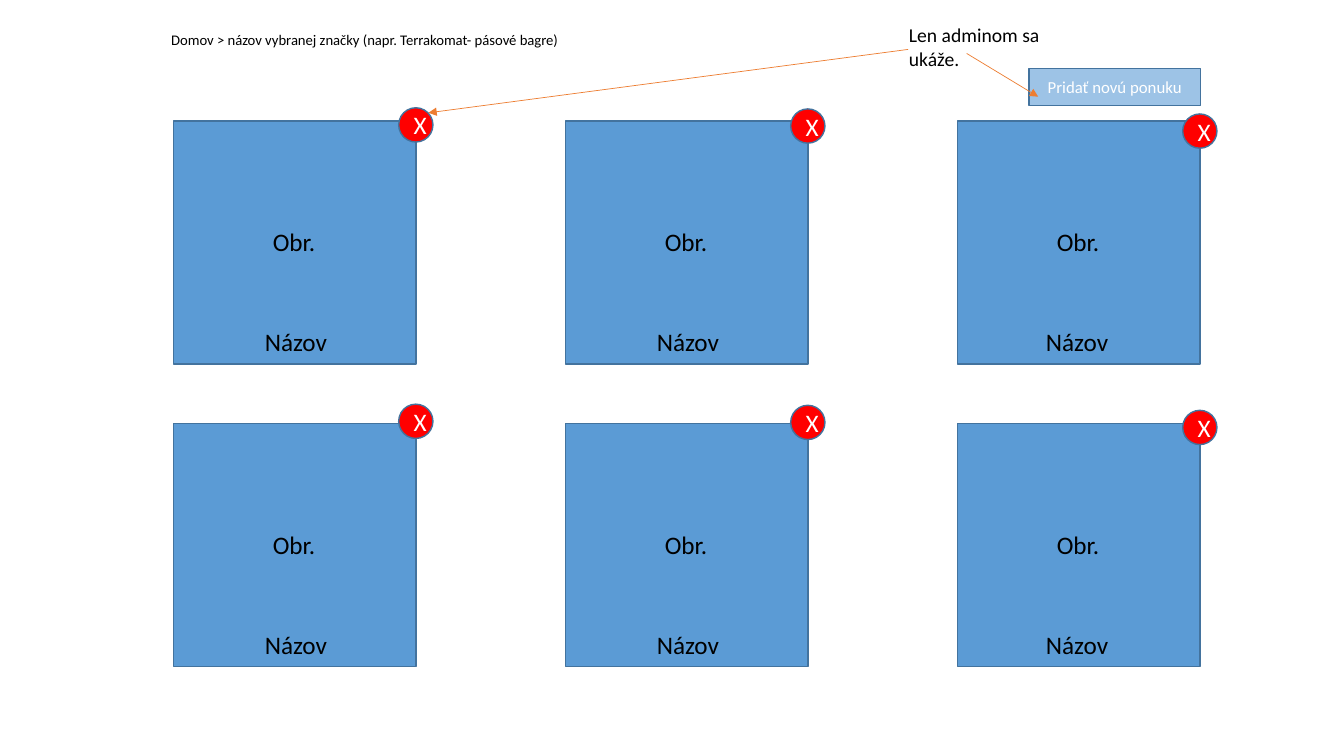
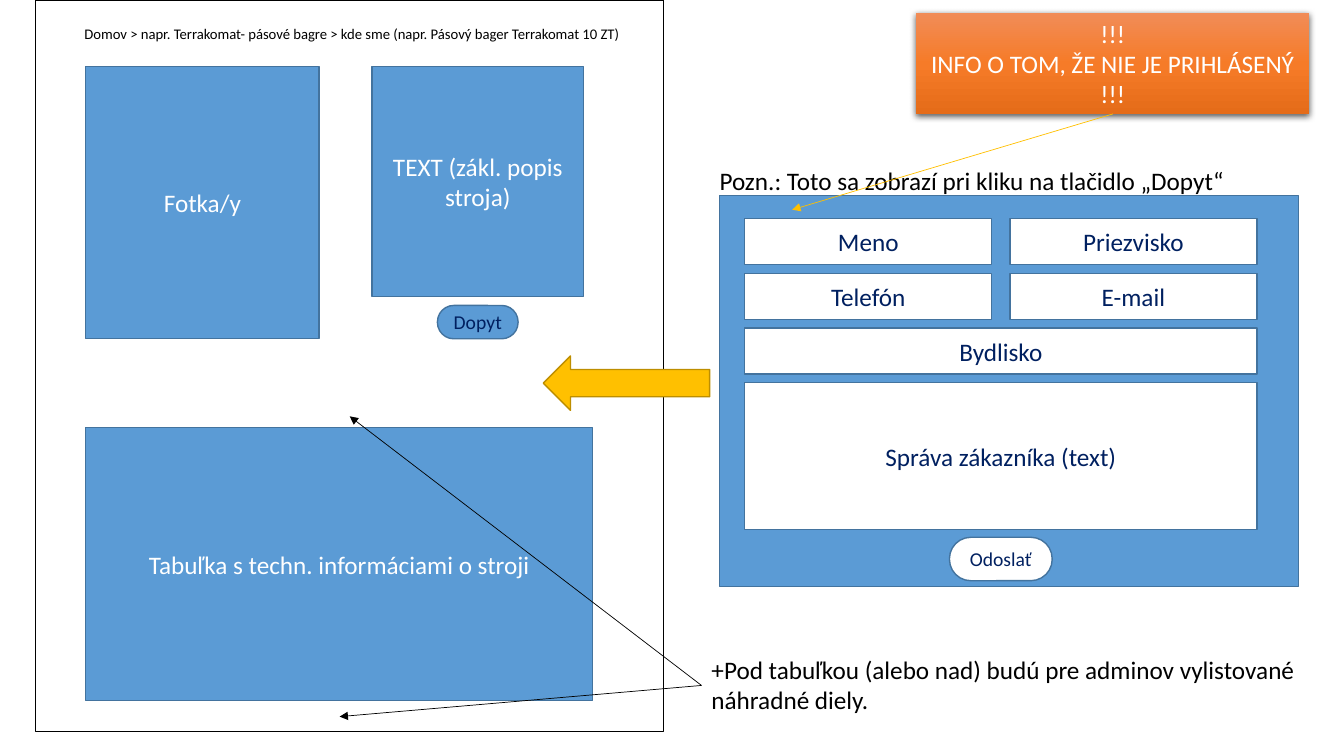
from copy import deepcopy
from pptx import Presentation, util as u
from pptx.dml.color import RGBColor
from pptx.enum import shapes, text
from pptx.oxml import parse_xml
from pptx.oxml.ns import nsdecls, qn

Pt = u.Pt
KIND = shapes.MSO_SHAPE
FONT = "Calibri"
BLUE = RGBColor(0x5B, 0x9B, 0xD5)
EDGE = RGBColor(0x43, 0x73, 0x9E)
PALE = RGBColor(0x9D, 0xC3, 0xE6)
NAVY = RGBColor(0x00, 0x20, 0x60)
RED = RGBColor(0xFF, 0x00, 0x00)
ORANGE = RGBColor(0xED, 0x7D, 0x31)
GOLD = RGBColor(0xFF, 0xC0, 0x00)
BRONZE = RGBColor(0xBD, 0x8E, 0x00)
WHITE = RGBColor(0xFF, 0xFF, 0xFF)
BLACK = RGBColor(0x00, 0x00, 0x00)
GLOW = [(0, RGBColor(0xF1, 0x8C, 0x57)), (0.5, RGBColor(0xF6, 0x7B, 0x28)),
        (1, RGBColor(0xE5, 0x6C, 0x19))]

# Offer list: grid of cards, each with a picture, a name and a delete mark
CARD = 173.5
LEFT, TOP = 123.8, 86.4
STEP_X, STEP_Y = 280, 216
ROWS = 2
NAME_X = [58.3, 58.3, 56.2]
MARK_Y = [77, 77.8, 81.4]
MARK, MARK_X, MARK_STEP = 24.5, 161, 211.7

# Each note: text, box, size, wrap
LIST_NOTES = [
    ("Domov > názov vybranej značky (napr. Terrakomat- pásové bagre)",
     (115.2, 18.7, 301.7, 20.2), 10.5, False),
    ("Len adminom sa ukáže.", (642.2, 13, 141.1, 41), 14, True),
]
LIST_ARROWS = [((690.5, 38.2), (741.6, 69.1), ORANGE),
               ((648.7, 35.3), (306, 80.6), ORANGE)]

ITEM_NOTES = [
    ("Domov > napr. Terrakomat- pásové bagre > kde sme "
     "(napr. Pásový bager Terrakomat 10 ZT)",
     (53.3, 14.4, 442.1, 20.2), 10.5, True),
    ("Pozn.: Toto sa zobrazí pri kliku na tlačidlo „Dopyt“",
     (506.9, 114.5, 392.4, 28.8), 18, False),
    ("+Pod tabuľkou (alebo nad) budú pre adminov vylistované náhradné diely.",
     (501.1, 463.7, 439.9, 51.1), 18, True),
]
PANELS = [
    ("Fotka/y", (61.2, 47.5, 166.7, 194.4)),
    ("TEXT (zákl. popis stroja)", (265.7, 47.5, 151.2, 164.2)),
    ("Tabuľka s techn. informáciami o stroji", (61.2, 305.3, 362.2, 195.1)),
    ("", (514.1, 139.7, 413.3, 279.4)),
]
PILLS = [("Dopyt", (312.5, 218.2, 57.6, 23.8), BLUE),
         ("Odoslať", (678.2, 383.8, 73.4, 31), WHITE)]
# Form rows: field names and height
FORM = [(["Meno", "Priezvisko"], 33), (["Telefón", "E-mail"], 33),
        (["Bydlisko"], 33), (["Správa zákazníka (text)"], 105)]
FORM_X, FORM_Y, FORM_W = 532, 156.2, 365.8
GAP_X, GAP_Y = 13, 6
BANNER = "!!!\vINFO O TOM, ŽE NIE JE PRIHLÁSENÝ\v!!!"
ITEM_ARROWS = [((794.9, 81.4), (565.9, 149.8), GOLD),
               ((501.1, 489.6), (242.6, 511.9), BLACK),
               ((501.1, 489.6), (249.8, 297.4), BLACK)]


def place(box):
    """Turn a box in points into lengths."""
    return [Pt(round(n, 2)) for n in box]


def write(frame, words, size, color, align):
    """Put words in a text frame and format them."""
    frame.text = words
    for para in frame.paragraphs:
        para.alignment = align
        for run in para.runs:
            font = run.font
            font.name, font.size = FONT, Pt(size)
            font.color.rgb = color


def note(slide, words, box, size=18, wrap=False):
    """Add a plain text box."""
    frame = slide.shapes.add_textbox(*place(box)).text_frame
    write(frame, words, size, BLACK, text.PP_ALIGN.LEFT)
    frame.word_wrap = wrap
    frame.auto_size = text.MSO_AUTO_SIZE.SHAPE_TO_FIT_TEXT


def block(slide, box, fill, words="", size=18, color=WHITE, edge=EDGE,
          kind=KIND.RECTANGLE):
    """Add a shape with centred words; None leaves out fill or edge."""
    item = slide.shapes.add_shape(kind, *place(box))
    item.shadow.inherit = False
    if fill is None:
        item.fill.background()
    else:
        item.fill.solid()
        item.fill.fore_color.rgb = fill
    if edge is None:
        item.line.fill.background()
    else:
        item.line.color.rgb = edge
        item.line.width = Pt(1)
    if words:
        write(item.text_frame, words, size, color, text.PP_ALIGN.CENTER)
        item.text_frame.vertical_anchor = text.MSO_ANCHOR.MIDDLE
    return item


def arrow(slide, start, end, color):
    """Add a thin line with an arrowhead at its end."""
    line = slide.shapes.add_connector(
        shapes.MSO_CONNECTOR.STRAIGHT, *place(start + end))
    line.line.color.rgb = color
    line.line.width = Pt(0.5)
    props = line._element.spPr
    props.find(qn("a:ln")).append(
        parse_xml(f'<a:tailEnd {nsdecls("a")} type="triangle"/>'))
    props.append(parse_xml(f'<a:effectLst {nsdecls("a")}/>'))


def glow(item):
    """Give a shape the three-colour gradient and a soft shadow."""
    item.fill.gradient()
    item.fill.gradient_angle = 270
    props = item._element.spPr
    stops = props.find(".//" + qn("a:gsLst"))
    stops.insert(1, deepcopy(stops[0]))
    for stop, (spot, color) in zip(item.fill.gradient_stops, GLOW):
        stop.position = spot
        stop.color.rgb = color
    props.find(qn("a:effectLst")).append(parse_xml(
        f'<a:outerShdw {nsdecls("a")} blurRad="{Pt(4.5)}" dist="{Pt(1.5)}" '
        'dir="5400000" algn="ctr" rotWithShape="0"><a:srgbClr val="000000">'
        '<a:alpha val="63000"/></a:srgbClr></a:outerShdw>'))


def offers(slide):
    """Build the list of offers."""
    for row in range(ROWS):
        y = TOP + row * STEP_Y
        for col, (name_x, mark_y) in enumerate(zip(NAME_X, MARK_Y)):
            x = LEFT + col * STEP_X
            block(slide, (x, y, CARD, CARD), BLUE)
            note(slide, "Obr.", (x + 64, y + 72, 45.4, 28.8))
            note(slide, "Názov", (x + name_x, y + 143.5, 59.8, 28.8))
            block(slide, (x + MARK_X, mark_y + row * MARK_STEP, MARK, MARK),
                  RED, "X", kind=KIND.OVAL)
    block(slide, (735.1, 49, 122.4, 26.6), PALE, "Pridať novú ponuku", 12)
    for entry in LIST_NOTES:
        note(slide, *entry)
    for entry in LIST_ARROWS:
        arrow(slide, *entry)


def form(slide):
    """Lay the input fields out in rows of equal columns."""
    y = FORM_Y
    for names, high in FORM:
        wide = (FORM_W - GAP_X * (len(names) - 1)) / len(names)
        for col, name in enumerate(names):
            x = FORM_X + col * (wide + GAP_X)
            block(slide, (x, y, wide, high), WHITE, name, color=NAVY)
        y += high + GAP_Y


def detail(slide):
    """Build the machine page with its enquiry form."""
    for words, box in PANELS:
        block(slide, box, BLUE, words)
    form(slide)
    for words, box, fill in PILLS:
        pill = block(slide, box, fill, words, 14, NAVY,
                     kind=KIND.ROUNDED_RECTANGLE)
        pill.adjustments[0] = 0.49
    block(slide, (25.2, 0, 448.6, 522.7), None, edge=BLACK)
    back = block(slide, (388.1, 254.2, 118.8, 38.9), GOLD, edge=BRONZE,
                 kind=KIND.RIGHT_ARROW)
    back.rotation = 180
    glow(block(slide, (654.5, 9.4, 280.8, 72), ORANGE, BANNER, edge=None))
    for entry in ITEM_NOTES:
        note(slide, *entry)
    for entry in ITEM_ARROWS:
        arrow(slide, *entry)


deck = Presentation()
deck.slide_width, deck.slide_height = Pt(960), Pt(540)
for build in (offers, detail):
    build(deck.slides.add_slide(deck.slide_layouts[6]))
deck.save("out.pptx")
